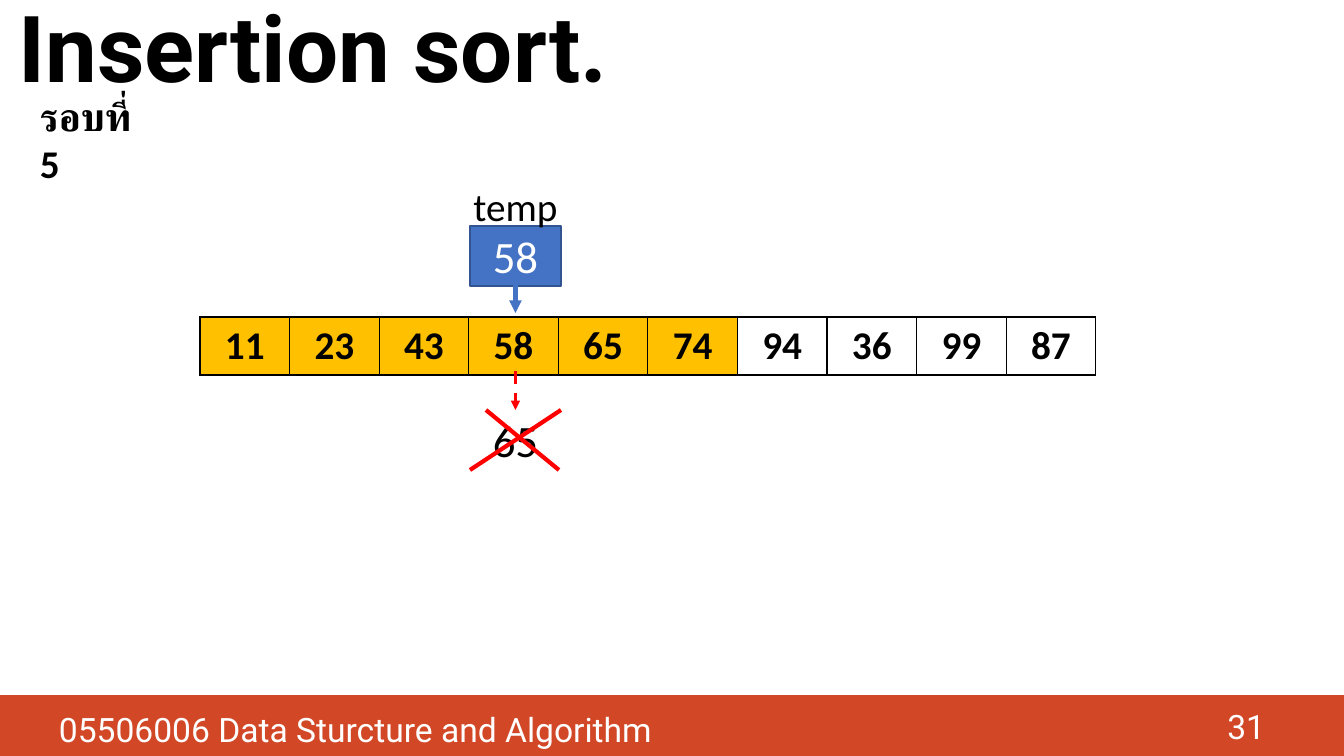
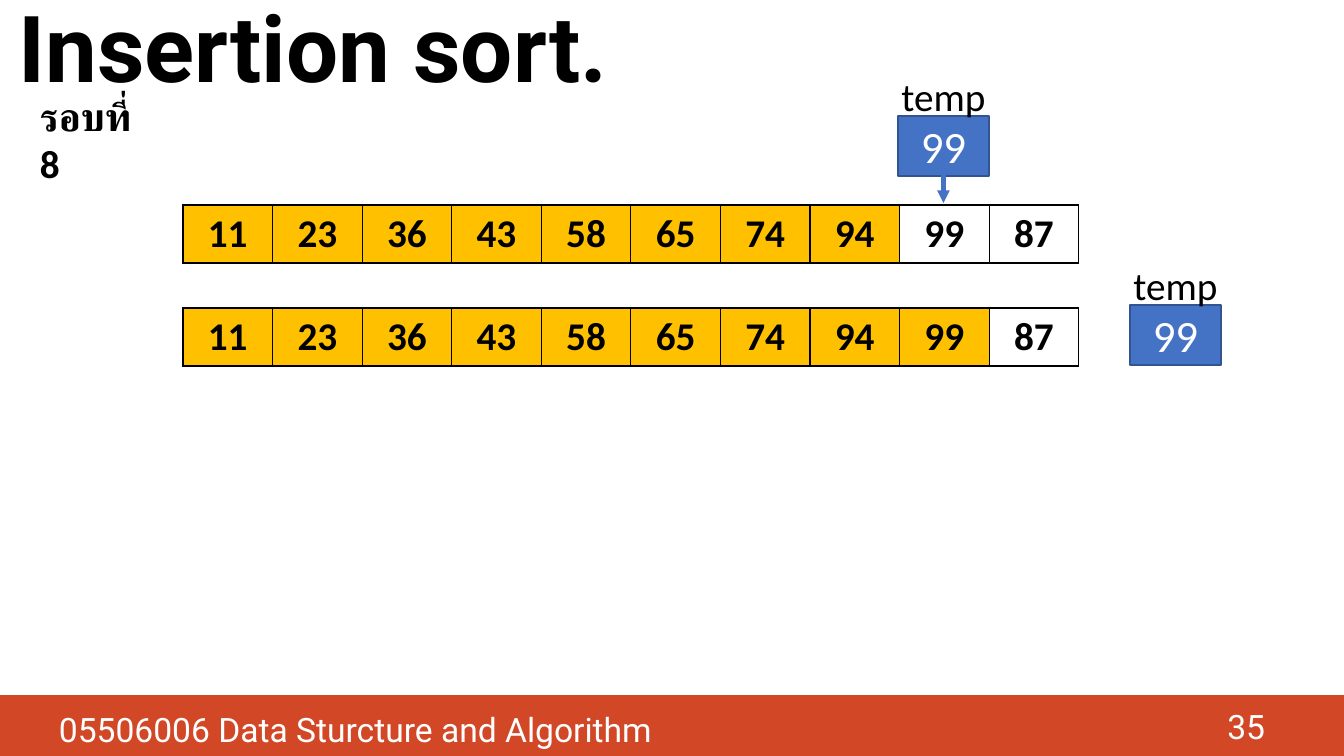
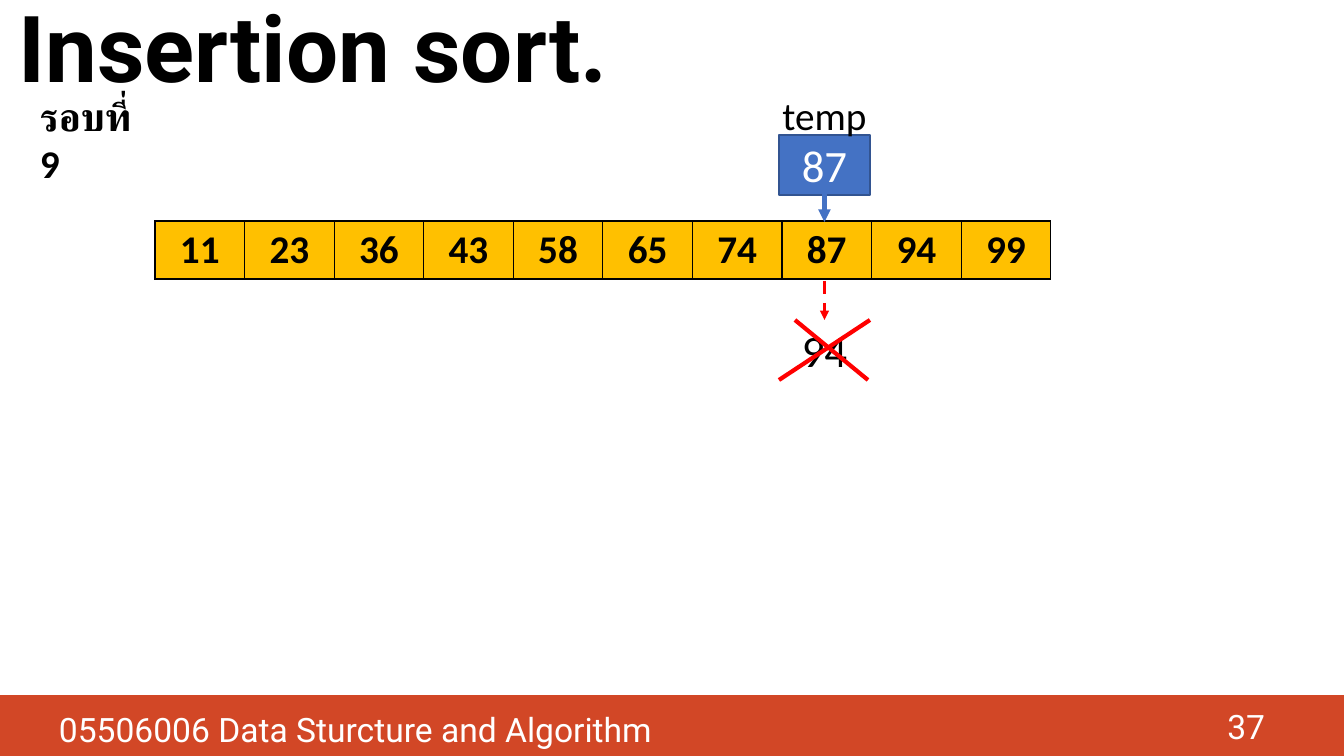
from lxml import etree
from pptx import Presentation
from pptx import util as u
from pptx.dml.color import RGBColor
from pptx.enum import dml, shapes, text
from pptx.oxml import ns

TITLE = "Insertion sort."
COURSE = "05506006 Data Sturcture and Algorithm"
SLIDES = [
    {"page": "31", "round": "รอบที่ 5",
     "rows": [(200, 317, "11 23 43 58 65 74 94 36 99 87", 6)],
     "temps": [(470, 226, "58", True)],
     "drops": [(470, 410, "65")]},
    {"page": "35", "round": "รอบที่ 8",
     "rows": [(183, 205, "11 23 36 43 58 65 74 94 99 87", 8),
              (183, 308, "11 23 36 43 58 65 74 94 99 87", 9)],
     "temps": [(898, 116, "99", True), (1130, 305, "99", False)],
     "drops": []},
    {"page": "37", "round": "รอบที่ 9",
     "rows": [(155, 221, "11 23 36 43 58 65 74 87 94 99", 10)],
     "temps": [(779, 135, "87", True)],
     "drops": [(779, 320, "94")]},
]
HUES = {"ink": "000000", "paper": "FFFFFF", "band": "D24726", "done": "FFC000",
        "temp": "4472C4", "edge": "325491", "cross": "FF0000"}
WIDE, HIGH = 1344, 756
UNIT = 12192000 / WIDE
BOX_W, BOX_H = 91, 60
ROW_W, ROW_H = 896, 58
TAG_W, TAG_H = 140, 51
LEFT, MID, RIGHT = text.PP_ALIGN.LEFT, text.PP_ALIGN.CENTER, text.PP_ALIGN.RIGHT
TOP, CORE = text.MSO_ANCHOR.TOP, text.MSO_ANCHOR.MIDDLE


def px(n):
    return u.Emu(round(n * UNIT))


def hue(name):
    return RGBColor.from_string(HUES[name])


def style(frame, words, size, color="ink", font="Calibri", bold=False, align=LEFT):
    frame.text = words
    para = frame.paragraphs[0]
    para.alignment = align
    face = para.runs[0].font
    face.name, face.size, face.bold = font, u.Pt(size), bold
    face.color.rgb = hue(color)
    return para


def label(slide, x, y, w, h, words, size, anchor=TOP, **look):
    frame = slide.shapes.add_textbox(px(x), px(y), px(w), px(h)).text_frame
    frame.word_wrap = True
    frame.vertical_anchor = anchor
    para = style(frame, words, size, **look)
    return frame, para


def rect(slide, x, y, w, h, fill, edge=None):
    box = slide.shapes.add_shape(shapes.MSO_SHAPE.RECTANGLE, px(x), px(y), px(w), px(h))
    box.shadow.inherit = False
    box.fill.solid()
    box.fill.fore_color.rgb = hue(fill)
    if edge:
        box.line.color.rgb = hue(edge)
        box.line.width = u.Pt(1)
    else:
        box.line.fill.background()
    return box


def value(slide, x, y, words, fill, color, edge=None):
    frame = rect(slide, x, y, BOX_W, BOX_H, fill, edge).text_frame
    frame.vertical_anchor = CORE
    style(frame, words, 32, color, align=MID)


def line(slide, x1, y1, x2, y2, color, width=3, dash=False, arrow=False):
    link = slide.shapes.add_connector(
        shapes.MSO_CONNECTOR.STRAIGHT, px(x1), px(y1), px(x2), px(y2))
    link.line.color.rgb = hue(color)
    link.line.width = u.Pt(width)
    if dash:
        link.line.dash_style = dml.MSO_LINE.DASH
    if arrow:
        etree.SubElement(link.line._get_or_add_ln(), ns.qn("a:tailEnd"), type="triangle")
    etree.SubElement(link._element.spPr, ns.qn("a:effectLst"))


def border(cell):
    props = cell._tc.get_or_add_tcPr()
    for side in ("lnL", "lnR", "lnT", "lnB"):
        edge = etree.SubElement(props, ns.qn("a:" + side), w=str(u.Pt(1)))
        fill = etree.SubElement(edge, ns.qn("a:solidFill"))
        etree.SubElement(fill, ns.qn("a:srgbClr"), val=HUES["ink"])


def row(slide, x, y, nums, done):
    nums = nums.split()
    grid = slide.shapes.add_table(1, len(nums), px(x), px(y), px(ROW_W), px(ROW_H)).table
    grid.first_row = grid.horz_banding = False
    for i, num in enumerate(nums):
        grid.columns[i].width = px(ROW_W / len(nums))
        cell = grid.cell(0, i)
        border(cell)
        cell.fill.solid()
        cell.fill.fore_color.rgb = hue("done" if i < done else "paper")
        cell.vertical_anchor = CORE
        style(cell.text_frame, num, 28, bold=True, align=MID)


def temp(slide, x, y, num, arrow):
    value(slide, x, y, num, "temp", "paper", "edge")
    if arrow:
        mid = x + BOX_W / 2
        line(slide, mid, y + 44, mid, y + 87, "temp", arrow=True)
    label(slide, x + (BOX_W - TAG_W) / 2, y - 46, TAG_W, TAG_H, "temp", 28, CORE, align=MID)


def drop(slide, x, y, num):
    value(slide, x, y, num, "paper", "ink")
    mid, end = x + BOX_W / 2, y + BOX_H
    line(slide, mid, y - 39, mid, y, "cross", 2.25, dash=True, arrow=True)
    line(slide, x + 16, y, x + 89, end, "cross")
    line(slide, x, end, x + BOX_W, y, "cross")


def base(slide, page, turn):
    para = label(slide, 9, -11, 1238, 128, TITLE, 66, CORE, font="Roboto", bold=True)[1]
    para.line_spacing = 0.9
    rect(slide, 0, 695, WIDE, 61, "band")
    foot = {"color": "paper", "font": "Roboto"}
    label(slide, 49, 704, 1157, 66, COURSE, 24, **foot)
    label(slide, 973, 706, 302, 40, page, 24, CORE, align=RIGHT, **foot)
    frame = label(slide, 30, 87, 124, 57, turn, 28, bold=True)[0]
    frame.auto_size = text.MSO_AUTO_SIZE.SHAPE_TO_FIT_TEXT


deck = Presentation()
deck.slide_width, deck.slide_height = px(WIDE), px(HIGH)
for plan in SLIDES:
    slide = deck.slides.add_slide(deck.slide_layouts[6])
    base(slide, plan["page"], plan["round"])
    for part, draw in (("rows", row), ("temps", temp), ("drops", drop)):
        for item in plan[part]:
            draw(slide, *item)
deck.save("out.pptx")
